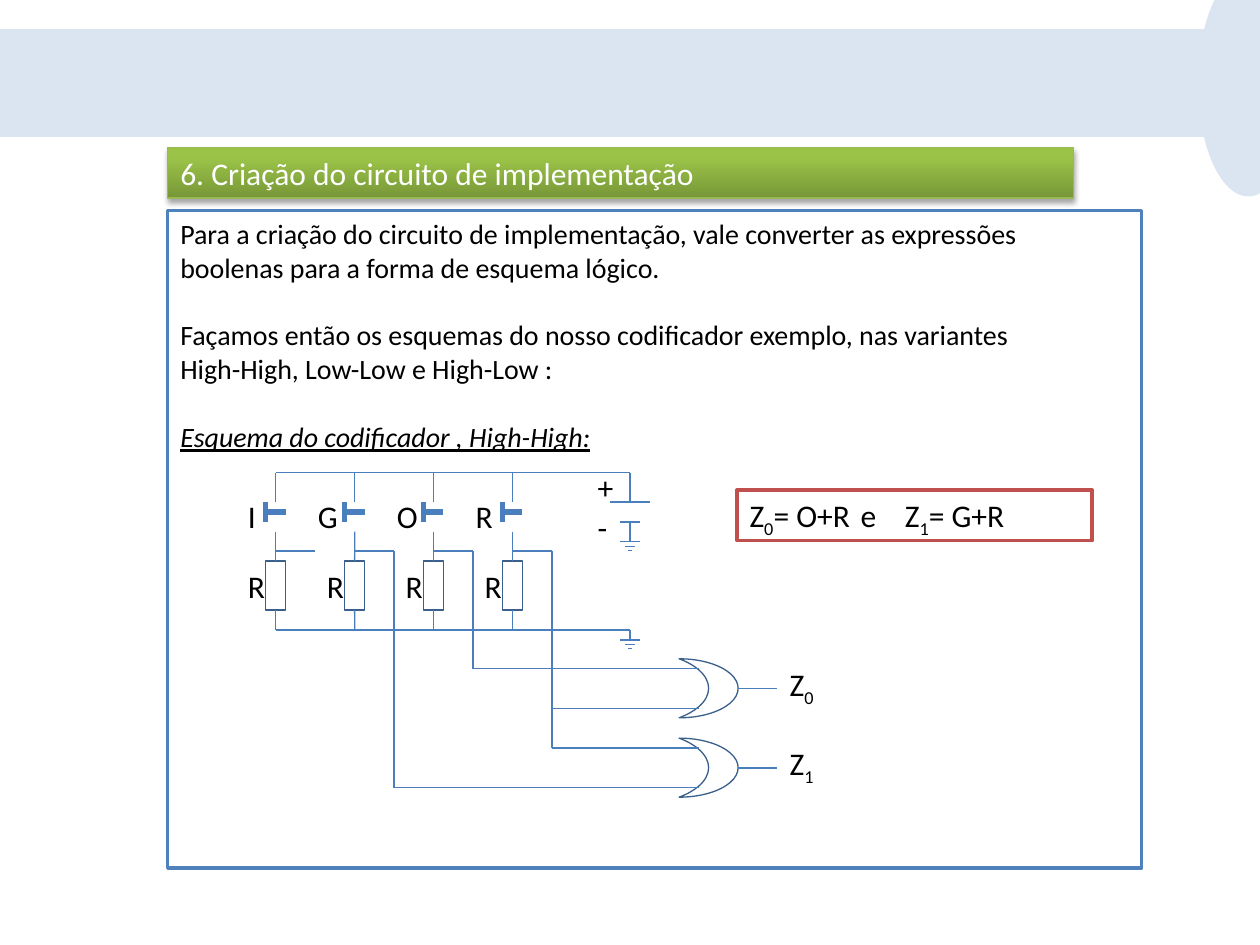
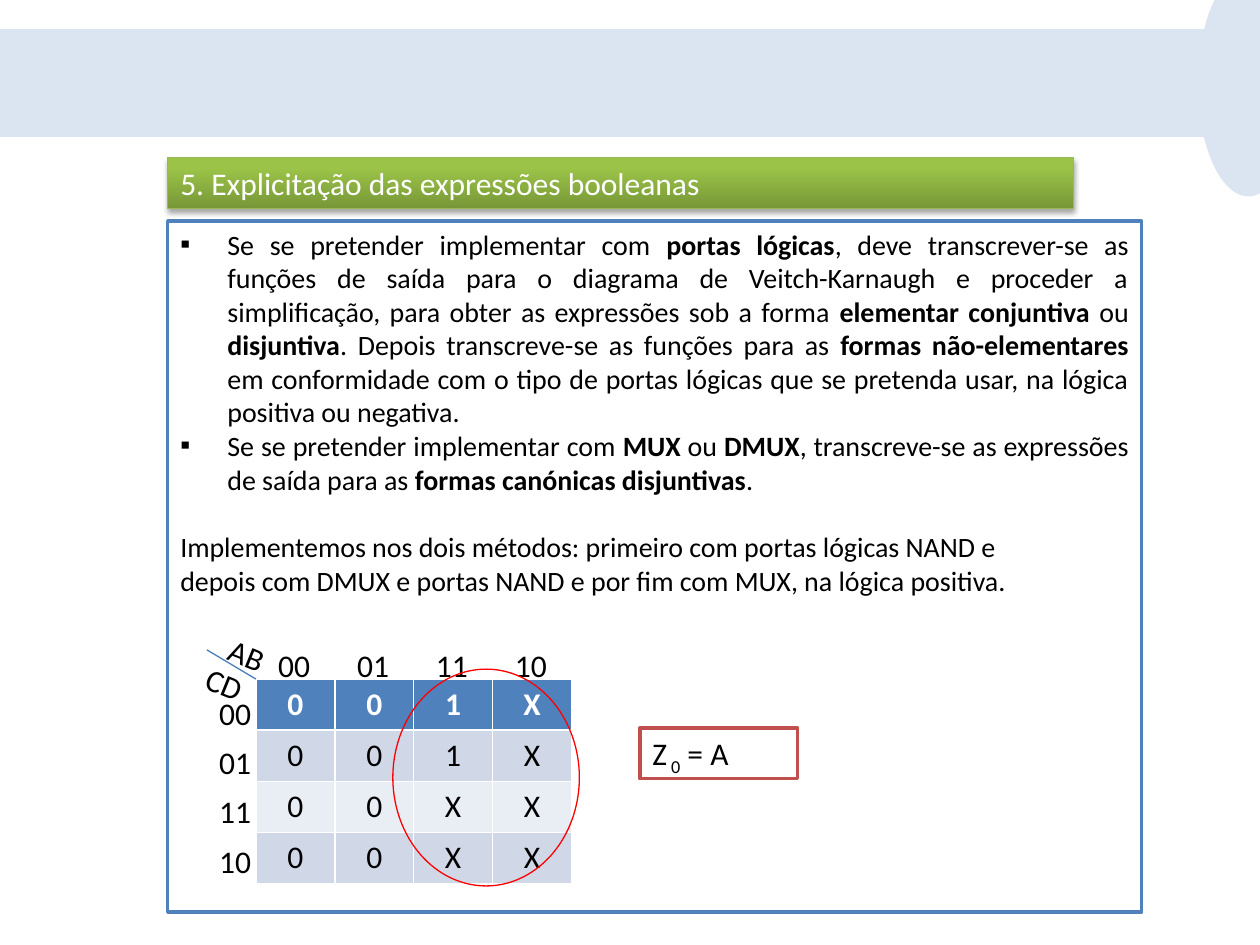
from lxml.etree import SubElement
from pptx import Presentation
from pptx.dml.color import RGBColor
from pptx.enum.shapes import MSO_CONNECTOR, MSO_SHAPE
from pptx.enum.text import MSO_ANCHOR, MSO_AUTO_SIZE, PP_ALIGN
from pptx.oxml.ns import qn
from pptx.util import Cm, Pt

FONT = "Calibri"
WHITE = RGBColor(0xFF, 0xFF, 0xFF)
BLACK = RGBColor(0, 0, 0)
PALE = RGBColor(0xDB, 0xE5, 0xF1)
BLUE = RGBColor(0x4F, 0x81, 0xBD)
WIRE = RGBColor(0x4B, 0x7E, 0xBC)
NAVY = RGBColor(0x3A, 0x5F, 0x8C)
BRICK = RGBColor(0xC0, 0x50, 0x4D)
RED = RGBColor(0xFF, 0, 0)
MOSS = RGBColor(0x77, 0x97, 0x37)
LIME = RGBColor(0x9B, 0xC3, 0x48)
GREEN = RGBColor(0x98, 0xB9, 0x55)
ODD = RGBColor(0xD0, 0xD8, 0xE8)
EVEN = RGBColor(0xE9, 0xED, 0xF4)

LEFT = 3.38     # left edge of title and body
PITCH = 1.59    # step between circuit branches and between map columns
HALF = 0.2      # half the width of a key, resistor or ground bar

# Circuit levels, from top to bottom
RAIL, KEY, TAP, LOAD, BASE = 9.53, 10.12, 11.11, 11.31, 12.7
CELL = 12.7     # x of the battery
GATE = 13.69    # left edge of the OR gates


def style(run, size, colour=BLACK, bold=False):
    font = run.font
    font.name, font.size, font.bold = FONT, Pt(size), bold
    font.color.rgb = colour


def lower(run):
    """Make the run a subscript."""
    run._r.get_or_add_rPr().set("baseline", "-25000")


def embolden(run):
    run.font.bold = True


def write(para, text, size, mark):
    """Write text, applying mark to each part between two bars."""
    for i, part in enumerate(text.split("|")):
        if part:
            run = para.add_run()
            run.text = part
            style(run, size)
            if i % 2:
                mark(run)


def box(slide, kind, left, top, width, height, fill=None, line=None, weight=0.75):
    shape = slide.shapes.add_shape(kind, Cm(left), Cm(top), Cm(width), Cm(height))
    shape.shadow.inherit = False
    paint(shape, fill, line, weight)
    return shape


def paint(shape, fill, line, weight):
    if fill is None:
        shape.fill.background()
    else:
        shape.fill.solid()
        shape.fill.fore_color.rgb = fill
    if line is None:
        shape.line.fill.background()
    else:
        shape.line.color.rgb = line
        shape.line.width = Pt(weight)


def wire(slide, x1, y1, x2, y2, weight=0.75):
    line = slide.shapes.add_connector(
        MSO_CONNECTOR.STRAIGHT, Cm(x1), Cm(y1), Cm(x2), Cm(y2))
    line.line.color.rgb = WIRE
    line.line.width = Pt(weight)
    SubElement(line._element.spPr, qn("a:effectLst"))
    return line


def label(slide, text, left, top, width=0.58, turn=0):
    shape = slide.shapes.add_textbox(Cm(left), Cm(top), Cm(width), Cm(1.02))
    shape.rotation = turn
    shape.text_frame.word_wrap = True
    write(shape.text_frame.paragraphs[0], text, 18, lower)


def result(slide, text, left, top, width, tabs=()):
    """Draw a framed formula, with tab stops in cm."""
    shape = box(slide, MSO_SHAPE.RECTANGLE, left, top, width, 1.02, WHITE, BRICK, 2)
    frame = shape.text_frame
    frame.vertical_anchor = MSO_ANCHOR.TOP
    para = frame.paragraphs[0]
    para.alignment = PP_ALIGN.LEFT
    if tabs:
        stops = SubElement(para._p.get_or_add_pPr(), qn("a:tabLst"))
        for stop in tabs:
            SubElement(stops, qn("a:tab"), pos=str(Cm(stop)), algn="l")
    write(para, text, 18, lower)


def place(shape, left, top, width, height):
    shape.left, shape.top = Cm(left), Cm(top)
    shape.width, shape.height = Cm(width), Cm(height)
    frame = shape.text_frame
    frame.auto_size = MSO_AUTO_SIZE.NONE
    frame.vertical_anchor = MSO_ANCHOR.TOP
    frame.word_wrap = True


def head(title, text, top):
    """Format the title as a green bar with a soft shadow."""
    place(title, LEFT, top, 18.26, 1.02)
    title.fill.gradient()
    title.fill.gradient_angle = 90
    stops = title.fill.gradient_stops
    for stop, colour, spot in zip(stops, (MOSS, LIME), (0, 0.8)):
        stop.color.rgb = colour
        stop.position = spot
    title.line.color.rgb = GREEN
    title.line.width = Pt(0.75)
    title.shadow.inherit = False
    glow = SubElement(title._element.spPr.find(qn("a:effectLst")), qn("a:outerShdw"),
                      blurRad="40000", dist="23000", dir="5400000", rotWithShape="0")
    tone = SubElement(glow, qn("a:srgbClr"), val=str(BLACK))
    SubElement(tone, qn("a:alpha"), val="35000")
    title.text_frame.text = text
    para = title.text_frame.paragraphs[0]
    para.alignment = PP_ALIGN.LEFT
    style(para.runs[0], 18, WHITE)


def fill_body(body, groups):
    """Write groups of (bullet, lines), one line of space between groups."""
    frame = body.text_frame
    para = None
    for bullet, lines in groups:
        for i, text in enumerate(lines):
            gap = 19.5 if para is not None and i == 0 else 0
            para = frame.paragraphs[0] if para is None else frame.add_paragraph()
            para.alignment = PP_ALIGN.JUSTIFY
            para.space_before = Pt(gap)
            props = para._p.get_or_add_pPr()
            props.set("marL", str(Cm(0.95)))
            props.set("indent", str(Cm(-0.95)))
            if bullet:
                SubElement(props, qn("a:buFont"), typeface=FONT)
                SubElement(props, qn("a:buChar"), char=bullet)
            else:
                SubElement(props, qn("a:buNone"))
            write(para, text, 16, embolden)


def new_slide(deck, title, top, height, groups):
    slide = deck.slides.add_slide(deck.slide_layouts[1])
    box(slide, MSO_SHAPE.RECTANGLE, 0, 0.59, 24.61, 2.17, PALE)
    box(slide, MSO_SHAPE.OVAL, 24.15, -0.59, 2.03, 4.55, PALE)
    head(slide.shapes.title, title, top)
    body = slide.placeholders[1]
    place(body, LEFT, top + 1.27, 19.63, height)
    paint(body, WHITE, BLUE, 2)
    fill_body(body, groups)
    return slide


def branch(slide, x, name, shift):
    """Draw one key with its resistor, from the rail to the base line."""
    wire(slide, x, RAIL, x, KEY)
    wire(slide, x + HALF, KEY + 0.2, x - HALF, KEY + 0.2, 3)
    wire(slide, x - HALF, KEY, x - HALF, KEY + 0.4, 3)
    load = box(slide, MSO_SHAPE.RECTANGLE, x - HALF, LOAD, 2 * HALF, 0.99, line=NAVY)
    wire(slide, x, KEY + 0.6, x, LOAD).end_connect(load, 0)
    wire(slide, x, LOAD + 0.99, x, BASE).begin_connect(load, 2)
    wire(slide, x, TAP, x + PITCH / 2, TAP)
    label(slide, name, x - shift, 9.9)
    label(slide, "R", x - 0.81, LOAD)


def ground(slide, y):
    for i, half in enumerate((HALF, 0.1, 0.04)):
        wire(slide, CELL - half, y + 0.09 * i, CELL + half, y + 0.09 * i)


def battery(slide):
    wire(slide, CELL, RAIL, CELL, KEY)
    wire(slide, CELL - 2 * HALF, KEY, CELL + 2 * HALF, KEY)
    wire(slide, CELL - HALF, KEY + 0.4, CELL + HALF, KEY + 0.4)
    wire(slide, CELL, KEY + 0.4, CELL, KEY + 0.8)
    ground(slide, KEY + 0.8)
    label(slide, "+", 11.8, 9.32)
    label(slide, "-", 11.8, 10.11)


def gate(slide, top, name):
    moon = box(slide, MSO_SHAPE.MOON, GATE, top, 1.19, 1.19, line=NAVY)
    moon.rotation = 180
    wire(slide, GATE + 1.19, top + 0.6, 15.67, top + 0.6)
    label(slide, name, 15.67, top, 1.6)


def feed(slide, x, start, y):
    """Lead a branch down from start and across to a gate input."""
    wire(slide, x, start, x, y)
    wire(slide, x, y, GATE + 0.41, y)


def circuit(slide):
    first = 5.56
    for i, name in enumerate("IGOR"):
        branch(slide, first + PITCH * i, name, 0.99 if i else 0.81)
    for y in (RAIL, BASE):
        wire(slide, first, y, CELL, y)
    battery(slide)
    wire(slide, CELL, BASE, CELL, BASE + 0.2)
    ground(slide, BASE + 0.2)

    upper, under = 13.28, 14.88
    gate(slide, upper, "Z|0|")
    gate(slide, under, "Z|1|")
    tap_g, tap_o, tap_r = (first + PITCH * (i + 0.5) for i in (1, 2, 3))
    feed(slide, tap_o, TAP, upper + 0.2)
    feed(slide, tap_r, TAP, upper + 1)
    feed(slide, tap_r, upper + 1, under + 0.2)
    feed(slide, tap_g, TAP, under + 1)


def karnaugh(slide, rows):
    left, top = 5.16, 13.69
    size = len(rows)
    grid = slide.shapes.add_table(size, size, Cm(left), Cm(top),
                                  Cm(PITCH * size), Cm(1.03 * size)).table
    for r, row in enumerate(rows):
        grid.rows[r].height = Cm(1.03)
        for c, value in enumerate(row):
            grid.columns[c].width = Cm(PITCH)
            cell = grid.cell(r, c)
            cell.fill.solid()
            cell.fill.fore_color.rgb = (BLUE, ODD, EVEN, ODD)[r]
            cell.text_frame.text = value
            para = cell.text_frame.paragraphs[0]
            para.alignment = PP_ALIGN.CENTER
            style(para.runs[0], 18, BLACK if r else WHITE, r == 0)
    wire(slide, left, top, 4.17, 13.1)
    label(slide, "AB", 4.37, 12.7, 1.3, 22.1)
    label(slide, "CD", 3.91, 13.28, 1.3, 22.1)
    for i, code in enumerate(("00", "01", "11", "10")):
        label(slide, code, left + 0.2 + PITCH * i, 12.9, 1.98)
        label(slide, code, 4.17, 13.87 + 0.99 * i, 1.6)
    box(slide, MSO_SHAPE.OVAL, 7.92, 13.49, 3.76, 4.37, line=RED)


def main():
    deck = Presentation()
    deck.slide_width, deck.slide_height = Cm(25.4), Cm(19.05)

    slide = new_slide(deck, "6. Criação do circuito de implementação", 2.97, 13.26, [
        ("", ["Para a criação do circuito de implementação, vale converter as expressões",
              "boolenas para a forma de esquema lógico."]),
        ("", ["Façamos então os esquemas do nosso codificador exemplo, nas variantes",
              "High-High, Low-Low e High-Low :"]),
        ("", ["Esquema do codificador , High-High:"])])
    caption = slide.placeholders[1].text_frame.paragraphs[-1].runs[0].font
    caption.italic = caption.underline = True
    circuit(slide)
    result(slide, "Z|0|= O+R\te\tZ|1|= G+R", 14.86, 9.88, 7.16, (2.24, 3.13))

    slide = new_slide(deck, "5. Explicitação das expressões booleanas", 3.18, 13.94, [
        ("▪", ["Se se pretender implementar com |portas lógicas|, deve transcrever-se as "
               "funções de saída para o diagrama de Veitch-Karnaugh e proceder a "
               "simplificação, para obter as expressões sob a forma |elementar conjuntiva "
               "|ou |disjuntiva|. Depois transcreve-se as funções para as |formas "
               "não-elementares| em conformidade com o tipo de portas lógicas que se "
               "pretenda usar, na lógica positiva ou negativa.",
               "Se se pretender implementar com |MUX| ou |DMUX|, transcreve-se as "
               "expressões de saída para as |formas canónicas disjuntivas|."]),
        ("", ["Implementemos nos dois métodos: primeiro com portas lógicas NAND e",
              "depois com DMUX e portas NAND e por fim com MUX, na lógica positiva."])])
    karnaugh(slide, ("001X", "001X", "00XX", "00XX"))
    result(slide, "Z| 0| = A", 12.9, 14.68, 3.18)

    deck.save("out.pptx")


if __name__ == "__main__":
    main()
